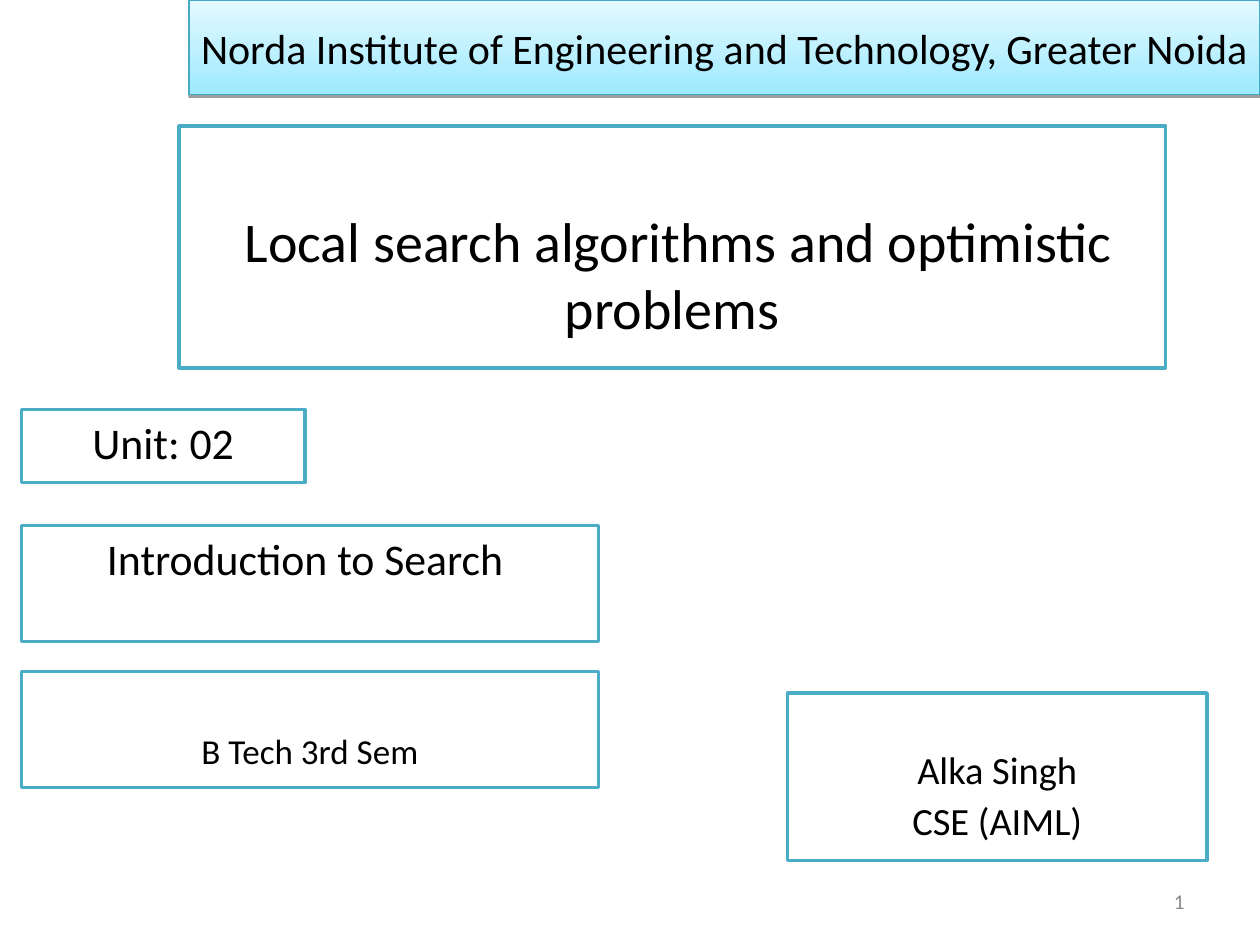
from dataclasses import dataclass

from lxml.etree import SubElement
from pptx import Presentation
from pptx.dml.color import RGBColor as RGB
from pptx.enum.shapes import MSO_SHAPE as Shape
from pptx.enum.text import MSO_ANCHOR as Anchor, MSO_AUTO_SIZE as AutoSize, PP_ALIGN as Align
from pptx.oxml.ns import qn
from pptx.util import Inches, Pt


@dataclass(frozen=True)
class Theme:
    font: str = "Calibri"
    text: RGB = RGB(0, 0, 0)
    muted: RGB = RGB(0x89, 0x89, 0x89)
    paper: RGB = RGB(255, 255, 255)
    border: RGB = RGB(0x4B, 0xAC, 0xC6)
    banner_border: RGB = RGB(0x46, 0xAA, 0xC5)
    banner_stops: tuple = (RGB(0x9E, 0xEA, 0xFF), RGB(0xE4, 0xF9, 0xFF))
    banner_size: int = 24
    topic_size: int = 32
    number_size: int = 12


THEME = Theme()

# Content: places are left, top, width, height in inches
BANNER = ("Norda Institute of Engineering and Technology, Greater Noida", (1.5, 0, 8.5, 0.75))
TOPIC = (" Local search algorithms and optimistic problems", (1.42, 1, 7.83, 1.92))
PAGE_NUMBER = ("1", (7.17, 6.95, 2.33, 0.4))
# lines, place, type size, top inset, line spacing, space before
CARDS = [
    (["Alka Singh", "CSE (AIML)"], (6.25, 5.5, 3.33, 1.33), 22, 0.46, 0.9, 5.5),
    (["Unit: 02"], (0.17, 3.25, 2.25, 0.58), 25, 0.05, 1, 0),
    (["Introduction to Search "], (0.17, 4.17, 4.58, 0.92), 25, 0.05, 1, 0),
    (["B Tech 3rd Sem"], (0.17, 5.33, 4.58, 0.92), 20, 0.46, 1, 0),
]


def place(box, position):
    box.left, box.top, box.width, box.height = map(Inches, position)


def write(box, lines, size, color=THEME.text, align=Align.CENTER, anchor=Anchor.TOP,
          top=0.05, side=0.1, spacing=1, before=0):
    frame = box.text_frame
    frame.text = "\n".join(lines)
    frame.word_wrap = True
    frame.auto_size = AutoSize.NONE
    frame.vertical_anchor = anchor
    frame.margin_left = frame.margin_right = Inches(side)
    frame.margin_top, frame.margin_bottom = Inches(top), Inches(0.05)
    for index, para in enumerate(frame.paragraphs):
        para.alignment = align
        para.line_spacing = spacing
        para.space_before = Pt(before if index else 0)
        para.font.name, para.font.size = THEME.font, Pt(size)
        para.font.color.rgb = color


def outline(box, color, width):
    box.line.color.rgb = color
    box.line.width = Pt(width)


def frame_box(box):
    box.fill.solid()
    box.fill.fore_color.rgb = THEME.paper
    outline(box, THEME.border, 2)
    box.shadow.inherit = False


def add_drop_shadow(box):
    box.shadow.inherit = False
    effects = box._element.spPr.find(qn("a:effectLst"))
    shadow = SubElement(effects, qn("a:outerShdw"), dist="20320", dir="5400000", rotWithShape="0")
    color = SubElement(shadow, qn("a:srgbClr"), val="000000")
    SubElement(color, qn("a:alpha"), val="38000")


def main():
    deck = Presentation()
    deck.slide_width, deck.slide_height = Inches(10), Inches(7.5)
    page = deck.slides.add_slide(deck.slide_layouts[0])

    # Banner
    text, position = BANNER
    banner = page.shapes.title
    place(banner, position)
    write(banner, [text], THEME.banner_size, anchor=Anchor.MIDDLE, side=0.05)
    banner.fill.gradient()
    banner.fill.gradient_angle = 90
    for stop, color in zip(banner.fill.gradient_stops, THEME.banner_stops):
        stop.color.rgb = color
    outline(banner, THEME.banner_border, 0.75)
    add_drop_shadow(banner)

    # Topic
    text, position = TOPIC
    topic = page.placeholders[1]
    place(topic, position)
    write(topic, [text], THEME.topic_size, top=0.64)
    frame_box(topic)

    # Detail cards
    for lines, position, size, top, spacing, before in CARDS:
        card = page.shapes.add_shape(Shape.RECTANGLE, *map(Inches, position))
        write(card, lines, size, top=top, spacing=spacing, before=before)
        frame_box(card)

    # Page number
    text, position = PAGE_NUMBER
    number = page.shapes.add_textbox(*map(Inches, position))
    write(number, [text], THEME.number_size, THEME.muted, Align.RIGHT, Anchor.MIDDLE)

    deck.save("out.pptx")


if __name__ == "__main__":
    main()
